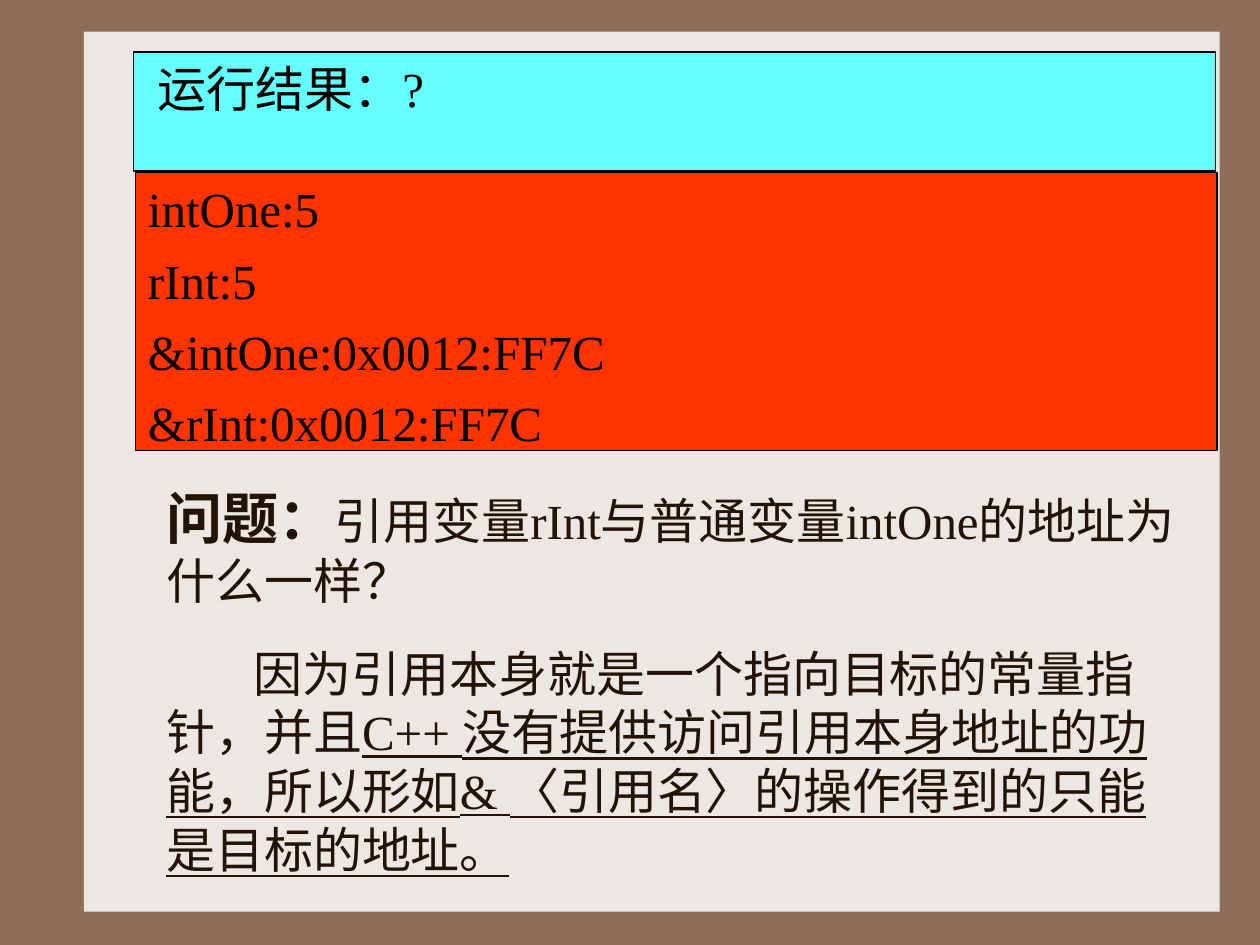
from dataclasses import dataclass

from pptx import Presentation
from pptx.dml.color import RGBColor
from pptx.enum.shapes import MSO_SHAPE
from pptx.enum.text import MSO_ANCHOR, PP_ALIGN
from pptx.util import Pt

RECTANGLE = MSO_SHAPE.RECTANGLE
TOP, MIDDLE = MSO_ANCHOR.TOP, MSO_ANCHOR.MIDDLE
LEFT, JUSTIFY = PP_ALIGN.LEFT, PP_ALIGN.JUSTIFY


@dataclass(frozen=True)
class Theme:
    """Colours, font and type sizes of the slide."""

    frame: RGBColor = RGBColor(0x90, 0x6D, 0x58)
    page: RGBColor = RGBColor(0xED, 0xE7, 0xE3)
    heading: RGBColor = RGBColor(0x66, 0xFF, 0xFF)
    output: RGBColor = RGBColor(0xFF, 0x33, 0x00)
    black: RGBColor = RGBColor(0x00, 0x00, 0x00)
    ink: RGBColor = RGBColor(0x22, 0x13, 0x04)
    font: str = "Times New Roman"
    body: Pt = Pt(28)
    label: Pt = Pt(32)
    leading: Pt = Pt(33.6)
    gap: Pt = Pt(7)


THEME = Theme()


def apply(target, values):
    """Set each attribute in values on target."""
    for name, value in values.items():
        setattr(target, name, value)


def add_panel(slide, box, fill, outline=None):
    """Add a filled rectangle, outlined if a colour is given."""
    panel = slide.shapes.add_shape(RECTANGLE, *map(Pt, box))
    panel.shadow.inherit = False
    panel.fill.solid()
    panel.fill.fore_color.rgb = fill
    if outline is None:
        panel.line.fill.background()
    else:
        panel.line.color.rgb = outline
        panel.line.width = Pt(0.75)
    return panel


def write(shape, paragraphs, color, anchor, alignment, indent=0):
    """Fill a shape with paragraphs, each a list of text and font values."""
    frame = shape.text_frame
    apply(frame, {"word_wrap": True, "vertical_anchor": anchor})
    for index, runs in enumerate(paragraphs):
        paragraph = frame.add_paragraph() if index else frame.paragraphs[0]
        apply(paragraph, {
            "alignment": alignment,
            "line_spacing": THEME.leading,
            "space_before": THEME.gap if index else Pt(0),
        })
        paragraph._p.get_or_add_pPr().set("indent", str(Pt(indent)))
        for text, values in runs:
            run = paragraph.add_run()
            run.text = text
            apply(run.font, {"name": THEME.font, "size": THEME.body} | values)
            run.font.color.rgb = color


def add_remark(slide, box, runs, indent=0):
    """Add a text box that holds one paragraph of explanation."""
    remark = slide.shapes.add_textbox(*map(Pt, box))
    write(remark, [runs], THEME.ink, MIDDLE, LEFT, indent)


def add_result(slide, box, fill, lines, indent=0):
    """Add an outlined panel with one paragraph for each line."""
    panel = add_panel(slide, box, fill, THEME.black)
    paragraphs = [[(line, {})] for line in lines]
    write(panel, paragraphs, THEME.black, TOP, JUSTIFY, indent)


def main():
    """Build the slide and save it."""
    deck = Presentation()
    apply(deck, {"slide_width": Pt(720), "slide_height": Pt(540)})
    slide = deck.slides.add_slide(deck.slide_layouts[6])
    slide.background.fill.solid()
    slide.background.fill.fore_color.rgb = THEME.frame

    add_panel(slide, (48, 18, 649, 503), THEME.page)
    add_result(slide, (76.5, 29.8, 618, 68), THEME.heading, ["运行结果：?"], indent=6.5)
    add_result(slide, (77.5, 98.8, 618, 158.5), THEME.output, [
        "intOne:5",
        "rInt:5",
        "&intOne:0x0012:FF7C",
        "&rInt:0x0012:FF7C",
    ])
    add_remark(slide, (88, 272.3, 600, 85), [
        ("问题：", {"size": THEME.label, "bold": True}),
        ("引用变量rInt与普通变量intOne的地址为什么一样？", {}),
    ])
    add_remark(slide, (88, 361, 591, 147.5), [
        ("因为引用本身就是一个指向目标的常量指针，并且", {}),
        ("C++ 没有提供访问引用本身地址的功能，所以形如& 〈引用名〉的操作得到的只能是目标的地址。",
         {"underline": True}),
    ], indent=50)

    deck.save("out.pptx")


if __name__ == "__main__":
    main()
